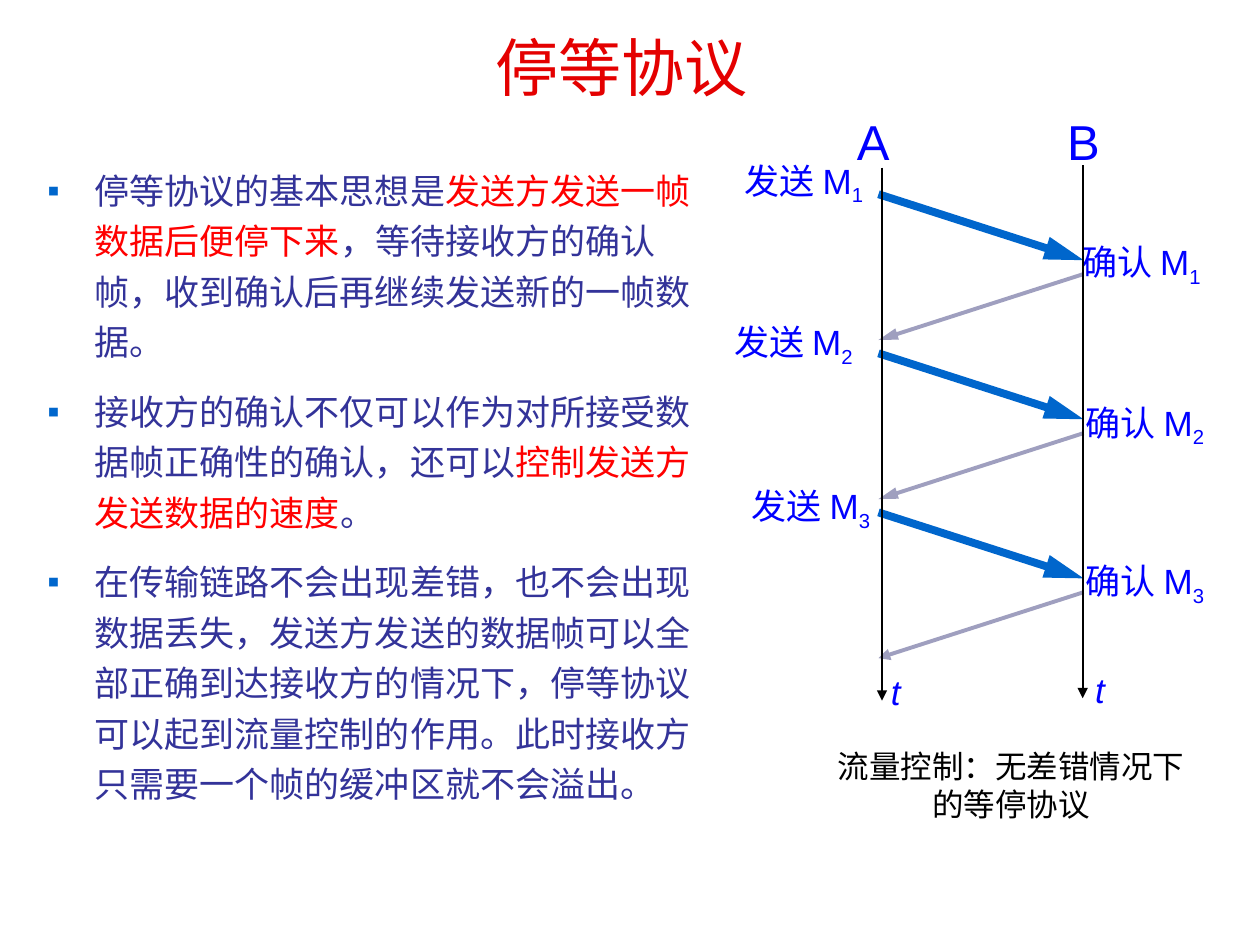
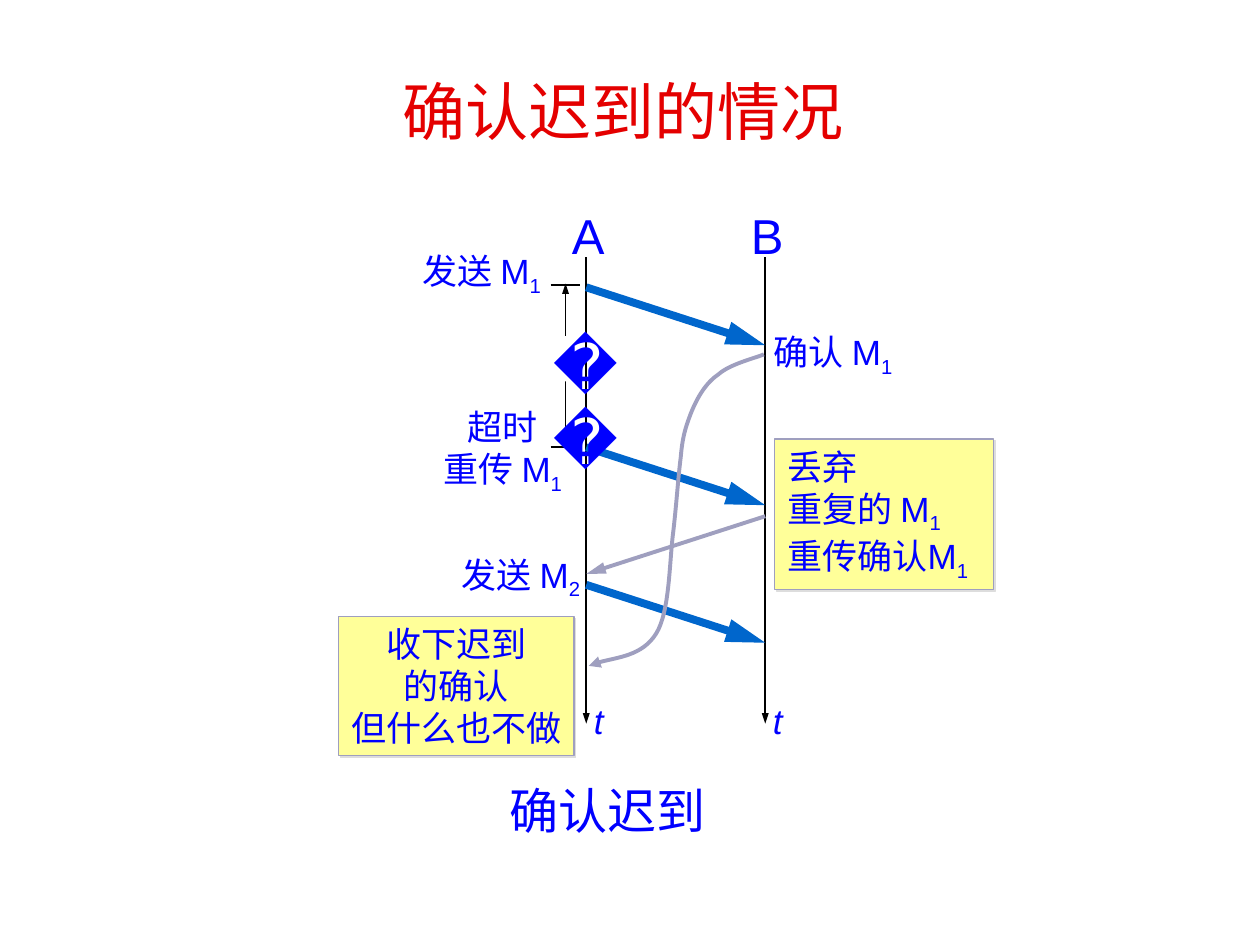
"""Build two slides on the stop-and-wait protocol."""
from dataclasses import dataclass

from lxml.etree import SubElement
from pptx import Presentation
from pptx.dml.color import RGBColor
from pptx.enum.shapes import MSO_CONNECTOR, MSO_SHAPE
from pptx.enum.text import MSO_ANCHOR as Anchor, MSO_AUTO_SIZE as Fit, PP_ALIGN as Align
from pptx.oxml.ns import qn
from pptx.util import Pt

TITLE_RED, RED, INDIGO, BLUE = "E40000", "FF0000", "333399", "0000FF"
SEND_BLUE, ACK_GREY, BLACK = "0066CC", "9F9FBF", "000000"
NOTE_YELLOW, WHITE, SHADOW = "FFFF99", "FFFFFF", "DDDDDD"
LATIN, CJK = "Arial", "Noto Sans CJK SC"


@dataclass
class Label:
    left: float
    top: float
    width: float
    height: float
    lines: tuple[str, ...]
    size: float = 20
    color: str = BLUE
    align: Align = Align.LEFT
    wrap: bool = False
    italic: bool = False
    before: float = 0


@dataclass
class Stroke:
    color: str
    width: float
    head_width: str = "med"
    head_length: str = "med"


SEND = Stroke(SEND_BLUE, 4.5, head_length="lg")
ACK = Stroke(ACK_GREY, 2.25, head_length="lg")
ACK_SHORT = Stroke(ACK_GREY, 2.25)
AXIS = Stroke(BLACK, 1)
AXIS_NARROW = Stroke(BLACK, 1, head_width="sm")

IDEAS = (
    (("停等协议的基本思想是", INDIGO), ("发送方发送一帧数据后便停下来", RED),
     ("，等待接收方的确认帧，收到确认后再继续发送新的一帧数据。", INDIGO)),
    (("接收方的确认不仅可以作为对所接受数据帧正确性的确认，还可以", INDIGO),
     ("控制发送方发送数据的速度", RED), ("。", INDIGO)),
    (("在传输链路不会出现差错，也不会出现数据丢失，发送方发送的数据帧可以全部正确到达"
      "接收方的情况下，停等协议可以起到流量控制的作用。此时接收方只需要一个帧的缓冲区"
      "就不会溢出。", INDIGO),),
)


def rgb(color: str) -> RGBColor:
    return RGBColor.from_string(color)


def style_run(r, size: float, color: str, latin: str = LATIN) -> None:
    r.font.size = Pt(size)
    r.font.name = latin
    r.font.color.rgb = rgb(color)
    SubElement(r._r.get_or_add_rPr(), qn("a:ea"), typeface=CJK)


def place(sp, left: float, top: float, width: float, height: float) -> None:
    sp.left, sp.top, sp.width, sp.height = Pt(left), Pt(top), Pt(width), Pt(height)


def set_title(slide, text: str, *box: float) -> None:
    sp = slide.shapes.title
    place(sp, *box)
    tf = sp.text_frame
    tf.text = text
    tf.auto_size = Fit.NONE
    tf.vertical_anchor = Anchor.MIDDLE
    p = tf.paragraphs[0]
    p.alignment = Align.CENTER
    style_run(p.runs[0], 36, TITLE_RED, CJK)


def set_bullet(p) -> None:
    p_pr = p._p.get_or_add_pPr()
    p_pr.set("marL", str(Pt(27)))
    p_pr.set("indent", str(-Pt(27)))
    p_pr.set("hangingPunct", "0")
    SubElement(SubElement(p_pr, qn("a:buClr")), qn("a:srgbClr"), val=SEND_BLUE)
    SubElement(p_pr, qn("a:buChar"), char="▪")


def fill_body(sp) -> None:
    place(sp, 19.8, 88.5, 397, 420)
    tf = sp.text_frame
    tf.auto_size = Fit.NONE
    for i, idea in enumerate(IDEAS):
        p = tf.paragraphs[0] if i == 0 else tf.add_paragraph()
        p.line_spacing, p.space_before, p.space_after = 1.2, Pt(5), Pt(6)
        set_bullet(p)
        for text, color in idea:
            r = p.add_run()
            r.text = text
            style_run(r, 20, color, CJK)


def write(sp, label: Label) -> None:
    """Fill a shape; text after an underscore becomes a subscript."""
    tf = sp.text_frame
    tf.word_wrap = label.wrap
    tf.auto_size = Fit.SHAPE_TO_FIT_TEXT
    tf.vertical_anchor = Anchor.TOP
    for i, line in enumerate(label.lines):
        p = tf.paragraphs[0] if i == 0 else tf.add_paragraph()
        p.alignment = label.align
        p.space_before = Pt(label.before)
        for level, text in enumerate(line.split("_")):
            r = p.add_run()
            r.text = text
            style_run(r, label.size, label.color)
            if label.italic:
                r.font.italic = True
            if level:
                r._r.get_or_add_rPr().set("baseline", "-25000")


def add_label(slide, label: Label) -> None:
    box = map(Pt, (label.left, label.top, label.width, label.height))
    write(slide.shapes.add_textbox(*box), label)


def add_note(slide, label: Label) -> None:
    box = map(Pt, (label.left, label.top, label.width, label.height))
    sp = slide.shapes.add_shape(MSO_SHAPE.RECTANGLE, *box)
    sp.fill.solid()
    sp.fill.fore_color.rgb = rgb(NOTE_YELLOW)
    sp.line.color.rgb = rgb(ACK_GREY)
    sp.line.width = Pt(0.75)
    sp.shadow.inherit = False
    shadow = SubElement(sp._element.spPr.find(qn("a:effectLst")), qn("a:outerShdw"),
                        dist=str(Pt(1.4)), dir="2700000", algn="ctr", rotWithShape="0")
    SubElement(shadow, qn("a:srgbClr"), val=SHADOW)
    write(sp, label)


def style_line(sp, stroke: Stroke, ends: tuple[str, ...]) -> None:
    sp.line.color.rgb = rgb(stroke.color)
    sp.line.width = Pt(stroke.width)
    for end in ends:
        SubElement(sp.line._get_or_add_ln(), qn(f"a:{end}"), type="triangle",
                   w=stroke.head_width, len=stroke.head_length)


def add_line(slide, x1: float, y1: float, x2: float, y2: float, stroke: Stroke,
             ends: tuple[str, ...] = ("tailEnd",)) -> None:
    sp = slide.shapes.add_connector(MSO_CONNECTOR.STRAIGHT, *map(Pt, (x1, y1, x2, y2)))
    style_line(sp, stroke, ends)
    SubElement(sp._element.spPr, qn("a:effectLst"))


def add_curve(slide, points: tuple[tuple[float, float], ...], stroke: Stroke) -> None:
    """Draw a Bezier curve: a start, then two handles and an end for each part."""
    start, *rest = [(Pt(x), Pt(y)) for x, y in points]
    builder = slide.shapes.build_freeform(*start)
    builder.add_line_segments(rest, close=False)
    sp = builder.convert_to_shape()
    outline = sp._element.spPr.find(".//" + qn("a:path"))
    steps = outline.findall(qn("a:lnTo"))
    for i in range(0, len(steps), 3):
        bend = SubElement(outline, qn("a:cubicBezTo"))
        for step in steps[i:i + 3]:
            bend.append(step[0])
            outline.remove(step)
    sp.fill.background()
    sp.shadow.inherit = False
    style_line(sp, stroke, ("tailEnd",))


def name_host(slide, name: str, left: float, top: float) -> None:
    add_label(slide, Label(left, top, 33, 41, (name,), 28, align=Align.CENTER))


def name_message(slide, text: str, left: float, top: float) -> None:
    add_label(slide, Label(left, top, 92, 34.5, (text,)))


def name_time(slide, left: float, top: float) -> None:
    add_label(slide, Label(left, top, 20, 31, ("t",), italic=True))


def build_protocol(prs) -> None:
    slide = prs.slides.add_slide(prs.slide_layouts[1])
    set_title(slide, "停等协议", 48.4, 9.2, 613.5, 57)
    fill_body(slide.placeholders[1])
    a, b, cycle, drop = 502, 619.2, 90.9, 37.7
    for i, ack in enumerate((ACK, ACK, ACK_SHORT)):
        y = 111 + i * cycle
        add_line(slide, a, y, b, y + drop, SEND)
        add_line(slide, b, y + 45.6, a, y + 45.6 + drop, ack)
    name_host(slide, "A", 482.5, 60.2)
    name_host(slide, "B", 602.7, 60.2)
    for text, left, top in (("发送 M_1", 418.5, 87.3), ("确认 M_1", 611.3, 134),
                            ("发送 M_2", 412.5, 179.5), ("确认 M_2", 613.3, 225.7),
                            ("确认 M_3", 613.3, 316)):
        name_message(slide, text, left, top)
    add_label(slide, Label(422.5, 273.2, 83, 59, ("发送 M_3",), wrap=True))
    add_label(slide, Label(468.8, 423.5, 218, 50.5, ("流量控制：无差错情况下的等停协议",),
                           18, BLACK, Align.CENTER, wrap=True, before=11.2))
    for x, y, t_left in ((504, 95.8, 502), (618.7, 94.4, 618.7)):
        add_line(slide, x, y, x, y + 304.6, AXIS)
        name_time(slide, t_left, y + 284)


def build_late_ack(prs) -> None:
    slide = prs.slides.add_slide(prs.slide_layouts[5])
    set_title(slide, "确认迟到的情况 ", 24, 18, 672.5, 90)
    a, b, drop = 335, 437.3, 33.1
    sent, resent, next_sent = 164.2, 255.6, 334.2
    for name, x in (("A", a), ("B", b)):
        add_line(slide, x, 147, x, 413.5, AXIS_NARROW)
        name_host(slide, name, x - 15.4, 114)
        name_time(slide, x - 2.7, 396)
    for y in (sent, resent, next_sent):
        add_line(slide, a, y, b, y + drop, SEND)
    add_line(slide, b, 295, a, 328, ACK)
    for text, left, top in (("发送 M_1", 234.3, 139), ("发送 M_2", 256.8, 312.5),
                            ("确认 M_1", 435.2, 185.2)):
        name_message(slide, text, left, top)
    add_label(slide, Label(241.3, 228.2, 92, 59, ("超时", "重传 M_1"), align=Align.CENTER))
    add_note(slide, Label(442.8, 250.8, 125, 86, ("丢弃", "重复的 M_1", "重传确认M_1"),
                          wrap=True))
    for y in (163, 255.5):
        add_line(slide, 314.7, y, 331.3, y, AXIS, ())
    add_line(slide, 323.2, 162, 323.2, 254, AXIS_NARROW, ("headEnd", "tailEnd"))
    gap = slide.shapes.add_shape(MSO_SHAPE.OVAL, Pt(311), Pt(192), Pt(23), Pt(26))
    gap.fill.solid()
    gap.fill.fore_color.rgb = rgb(WHITE)
    gap.line.fill.background()
    gap.shadow.inherit = False
    add_label(slide, Label(309, 182.8, 27.5, 50.5, ("🕒",), 36))
    add_label(slide, Label(284.2, 442.7, 127, 41, ("确认迟到",), 28))
    add_curve(slide, ((436.5, 202.5), (432, 204.5), (417, 208), (410.5, 214),
                      (403, 219), (398, 228), (394.5, 237), (391.5, 245),
                      (390, 250), (389, 261.5), (387.5, 273), (386.5, 289.5),
                      (384.5, 306), (382.5, 323), (382.5, 350), (375, 362),
                      (367, 375), (345, 376.5), (336.5, 380.5)), ACK_SHORT)
    add_note(slide, Label(193.5, 352.3, 134.5, 79.5, ("收下迟到", "的确认", "但什么也不做"),
                          align=Align.CENTER))


def main() -> None:
    prs = Presentation()
    prs.slide_width, prs.slide_height = Pt(720), Pt(540)
    build_protocol(prs)
    build_late_ack(prs)
    prs.save("out.pptx")


if __name__ == "__main__":
    main()
